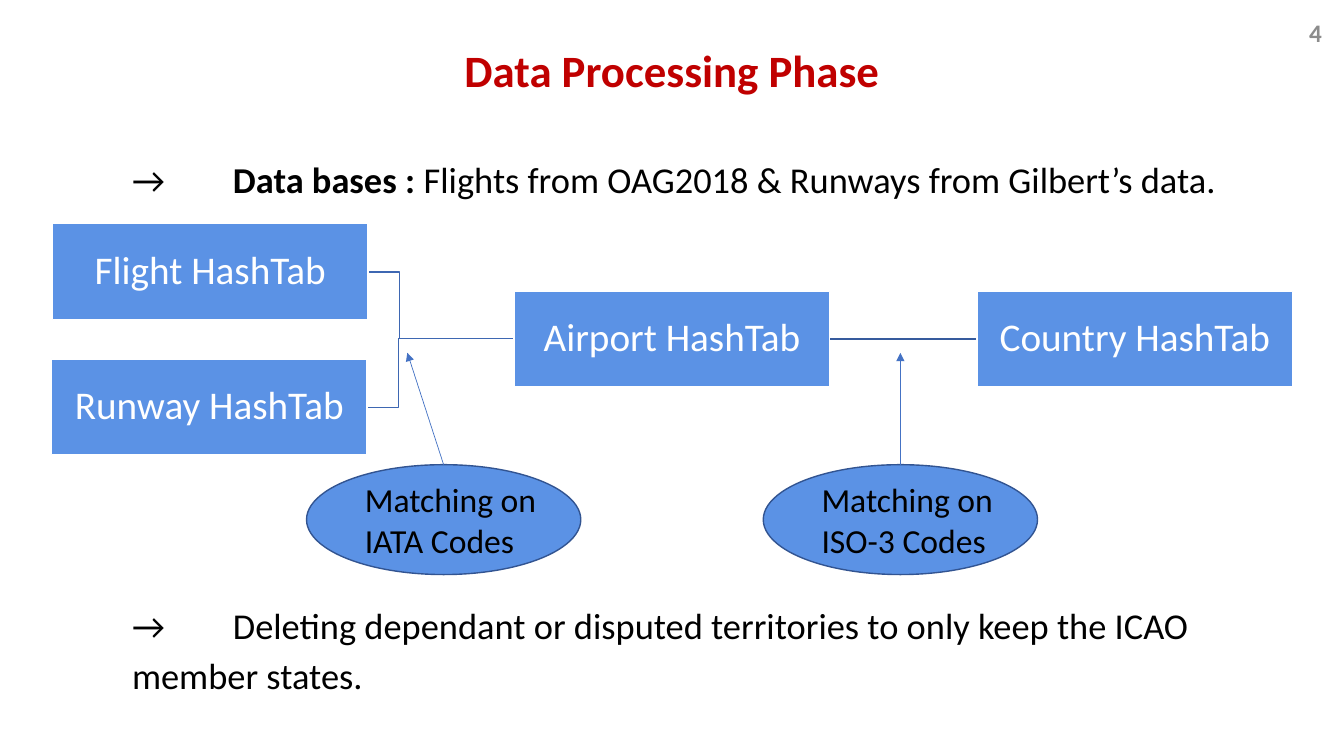
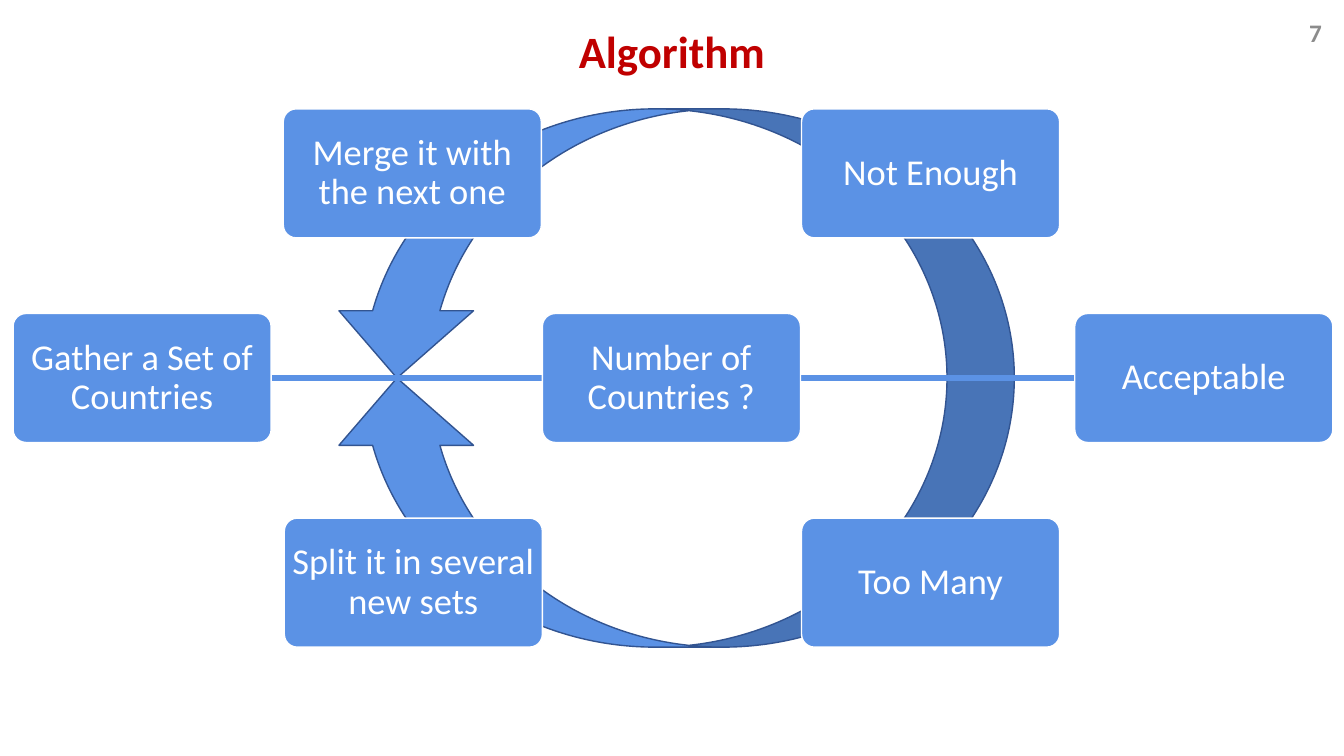
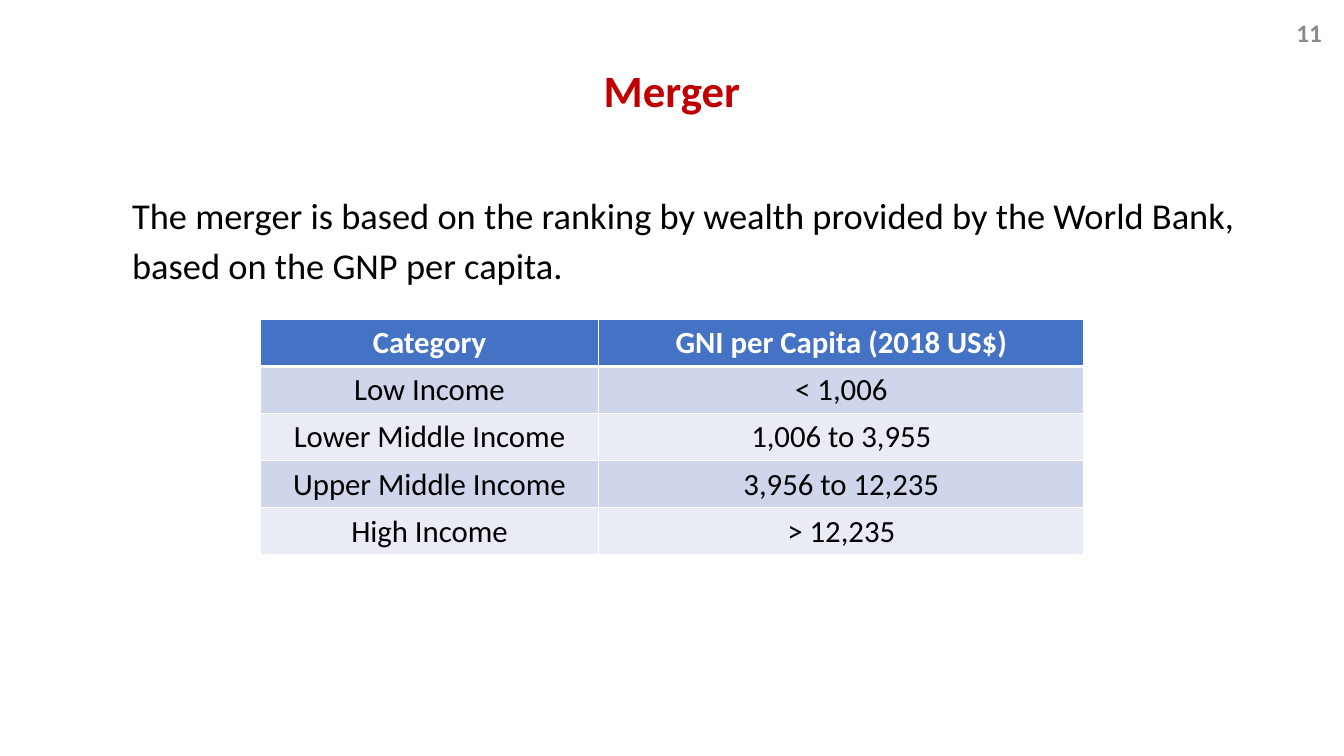
from lxml import etree
from pptx import Presentation
from pptx.dml.color import RGBColor
from pptx.enum.shapes import MSO_CONNECTOR, MSO_SHAPE
from pptx.enum.text import MSO_ANCHOR, MSO_AUTO_SIZE, PP_ALIGN
from pptx.oxml.ns import qn
from pptx.util import Pt

PX = 9144
SLIDE_WIDTH, SLIDE_HEIGHT = 1333, 750
TAB_WIDTH = 100
FONT = "Calibri"

RED = RGBColor(0xC0, 0x00, 0x00)
BLACK = RGBColor(0x00, 0x00, 0x00)
WHITE = RGBColor(0xFF, 0xFF, 0xFF)
GREY = RGBColor(0x8C, 0x8C, 0x8C)
SKY = RGBColor(0x5B, 0x92, 0xE5)
NAVY = RGBColor(0x32, 0x54, 0x91)
ELBOW_BLUE = RGBColor(0x3E, 0x67, 0xB2)
LINK_BLUE = RGBColor(0x36, 0x5B, 0x9D)
ACCENT = RGBColor(0x44, 0x72, 0xC4)
BAND_DARK = RGBColor(0xCF, 0xD5, 0xEA)
BAND_LIGHT = RGBColor(0xE9, 0xEB, 0xF5)

RECTANGLE = MSO_SHAPE.RECTANGLE
ROUNDED = MSO_SHAPE.ROUNDED_RECTANGLE
OVAL = MSO_SHAPE.OVAL
DOWN_ARROW = MSO_SHAPE.CURVED_DOWN_ARROW
UP_ARROW = MSO_SHAPE.CURVED_UP_ARROW
STRAIGHT = MSO_CONNECTOR.STRAIGHT
MIDDLE, TOP = MSO_ANCHOR.MIDDLE, MSO_ANCHOR.TOP
LEFT, CENTER, RIGHT = PP_ALIGN.LEFT, PP_ALIGN.CENTER, PP_ALIGN.RIGHT
NO_AUTOFIT = MSO_AUTO_SIZE.NONE

TITLE_LAYOUT, BODY_LAYOUT = 5, 1
TABLE_BOX = (258, 317, 817, 205)
CATEGORY_WIDTH = 336
INCOME_ROWS = [
    ("Category", "GNI per Capita (2018 US$)"),
    ("Low Income", "< 1,006"),
    ("Lower Middle Income", "1,006 to 3,955"),
    ("Upper Middle Income", "3,956 to 12,235"),
    ("High Income", "> 12,235"),
]


def emu(*lengths):
    """Turn px lengths into EMU."""
    return [round(length * PX) for length in lengths]


def format_text(frame, size, color, bold=False, align=LEFT, spacing=1.0):
    """Give every paragraph and run of a frame the same look."""
    for paragraph in frame.paragraphs:
        paragraph.alignment = align
        paragraph.line_spacing = spacing
        paragraph.space_before = Pt(0)
        for run in paragraph.runs:
            run.font.name = FONT
            run.font.size = Pt(size)
            run.font.bold = bold
            run.font.color.rgb = color


def set_margins(frame, left, top, right, bottom):
    """Set the four insets of a text frame."""
    frame.margin_left, frame.margin_top, frame.margin_right, frame.margin_bottom = emu(
        left, top, right, bottom)


def set_default_tabs(deck):
    """Use one tab width in the deck defaults and the master."""
    for root in (deck.element, deck.slide_master.element):
        for level in root.iter():
            if level.get("defTabSz"):
                level.set("defTabSz", str(TAB_WIDTH * PX))


def place(placeholder, box):
    """Move a placeholder to a box and fix its size."""
    placeholder.left, placeholder.top, placeholder.width, placeholder.height = emu(*box)
    placeholder.text_frame.word_wrap = True
    placeholder.text_frame.auto_size = NO_AUTOFIT


def add_titled_slide(deck, layout, title, title_box, number):
    """Add a slide with its red title and page number."""
    slide = deck.slides.add_slide(deck.slide_layouts[layout])
    place(slide.shapes.title, title_box)
    heading = slide.shapes.title.text_frame
    heading.text = title
    heading.vertical_anchor = MIDDLE
    format_text(heading, 32, RED, True, CENTER, 0.9)
    page = slide.shapes.add_textbox(*emu(1021, 12, 300, 40)).text_frame
    page.word_wrap = True
    page.text = number
    page.vertical_anchor = MIDDLE
    format_text(page, 18, GREY, True, RIGHT)
    return slide


def fill_body(slide, box, statements):
    """Write the body statements, each a list of text runs."""
    body = slide.placeholders[1]
    place(body, box)
    frame = body.text_frame
    set_margins(frame, 39, 5, 10, 5)
    frame.vertical_anchor = TOP
    for index, parts in enumerate(statements):
        paragraph = frame.add_paragraph() if index else frame.paragraphs[0]
        properties = paragraph._p.get_or_add_pPr()
        properties.set("marL", "0")
        properties.set("indent", "0")
        properties.set("defTabSz", str(TAB_WIDTH * PX))
        etree.SubElement(properties, qn("a:buNone"))
        for part in parts:
            paragraph.add_run().text = part
        paragraph.space_after = Pt(2)
    format_text(frame, 26, BLACK, spacing=1.14)
    return frame


def add_figure(slide, kind, box, outline):
    """Add a sky-blue preset shape with a thin outline."""
    figure = slide.shapes.add_shape(kind, *emu(*box))
    figure.shadow.inherit = False
    figure.fill.solid()
    figure.fill.fore_color.rgb = SKY
    figure.line.color.rgb = outline
    figure.line.width = Pt(1)
    return figure


def add_step(slide, kind, box, label, size):
    """Add a flow box with a centred white label."""
    step = add_figure(slide, kind, box, WHITE)
    if kind == ROUNDED:
        step.adjustments[0] = 0.1
    frame = step.text_frame
    frame.word_wrap = True
    set_margins(frame, 2, 2, 2, 2)
    frame.vertical_anchor = MIDDLE
    frame.text = label
    format_text(frame, size, WHITE, align=CENTER, spacing=0.9)


def add_link(slide, start, end, color, width, arrow=False):
    """Draw a straight link, with an arrowhead at its end if asked."""
    link = slide.shapes.add_connector(STRAIGHT, *emu(*start, *end))
    link.line.color.rgb = color
    link.line.width = Pt(width)
    if arrow:
        etree.SubElement(link.line._get_or_add_ln(), qn("a:tailEnd"), type="triangle")
    etree.SubElement(link._element.spPr, qn("a:effectLst"))


def add_elbow(slide, points):
    """Draw an open bent line through the points."""
    builder = slide.shapes.build_freeform(*points[0], scale=PX)
    builder.add_line_segments(points[1:], close=False)
    elbow = builder.convert_to_shape()
    elbow.shadow.inherit = False
    elbow.fill.background()
    elbow.line.color.rgb = ELBOW_BLUE
    elbow.line.width = Pt(1)


def add_matching_note(slide, box, label, target):
    """Add an oval note whose arrow points at the target."""
    left, top, width, _ = box
    note = add_figure(slide, OVAL, box, NAVY)
    frame = note.text_frame
    frame.word_wrap = True
    set_margins(frame, 18, 0, 0, 0)
    frame.vertical_anchor = MIDDLE
    frame.text = label
    format_text(frame, 24, BLACK)
    add_link(slide, (left + width / 2, top), target, ACCENT, 0.5, True)


def add_hash_tables(slide, left, top):
    """Draw the flow from flight and runway tables to countries."""
    width, height = 313, 95
    flight_left, airport_left, country_left = left + 1, left + 459, left + 918
    airport_top, runway_top = top + 67, top + 134
    axis = airport_top + height / 2
    for source_left, source_top in ((left, runway_top), (flight_left, top)):
        source_right, source_axis = source_left + width, source_top + height / 2
        bend = source_right + 31
        add_elbow(slide, [(airport_left, axis), (bend, axis),
                          (bend, source_axis), (source_right, source_axis)])
    add_link(slide, (airport_left + width, axis), (country_left, axis), LINK_BLUE, 1)
    for label, x, y in (
        ("Country HashTab", country_left, airport_top),
        ("Airport HashTab", airport_left, airport_top),
        ("Flight HashTab", flight_left, top),
        ("Runway HashTab", left, runway_top),
    ):
        add_step(slide, RECTANGLE, (x, y, width, height), label, 28)
    for codes, x, target_x in (("IATA", 253, 353), ("ISO-3", 706, 842)):
        add_matching_note(slide, (left + x, top + 239, 272, 109),
                          f"Matching on\n{codes} Codes", (left + target_x, top + 128))


def add_set_loop(slide, left, top):
    """Draw the loop that merges or splits sets of countries."""
    width, height = 256, 128
    middle, low = top + 203, top + 406
    axis = middle + height / 2
    gather, merge, split, decide, branch, accept = (
        left + offset for offset in (0, 268, 269, 525, 782, 1053))
    for kind, arrow_top in ((DOWN_ARROW, axis), (UP_ARROW, top)):
        add_figure(slide, kind, (left + 314, arrow_top, 679, 267), NAVY).rotation = 180
    for source, target in ((gather, decide), (decide, accept)):
        add_link(slide, (source + width, axis), (target, axis), SKY, 5)
    for label, x, y in (
        ("Gather a Set of Countries", gather, middle),
        ("Number of Countries ?", decide, middle),
        ("Not Enough", branch, top),
        ("Merge it with the next one", merge, top),
        ("Acceptable", accept, middle),
        ("Too Many", branch, low),
        ("Split it in several new sets", split, low),
    ):
        add_step(slide, ROUNDED, (x, y, width, height), label, 26)


def add_border(cell, side, width):
    """Add a white border to one side of a table cell."""
    border = etree.SubElement(cell._tc.get_or_add_tcPr(), qn(f"a:{side}"),
                              w=str(Pt(width)))
    paint = etree.SubElement(border, qn("a:solidFill"))
    etree.SubElement(paint, qn("a:srgbClr"), val=str(WHITE))


def add_income_table(slide, box):
    """Add the banded table of income categories."""
    table = slide.shapes.add_table(len(INCOME_ROWS), 2, *emu(*box)).table
    table.columns[0].width, table.columns[1].width = emu(
        CATEGORY_WIDTH, box[2] - CATEGORY_WIDTH)
    for row, values in enumerate(INCOME_ROWS):
        header = row == 0
        band = ACCENT if header else BAND_DARK if row % 2 else BAND_LIGHT
        for column, value in enumerate(values):
            cell = table.cell(row, column)
            for side in ("lnL", "lnR", "lnT", "lnB"):
                heavy = (row, side) in ((0, "lnB"), (1, "lnT"))
                add_border(cell, side, 3 if heavy else 1)
            cell.fill.solid()
            cell.fill.fore_color.rgb = band
            cell.text_frame.text = value
            format_text(cell.text_frame, 22, WHITE if header else BLACK, header, CENTER)


def build_processing(deck):
    """Build the data processing slide."""
    slide = add_titled_slide(deck, BODY_LAYOUT, "Data Processing Phase",
                             (0, 0, SLIDE_WIDTH, 145), "4")
    body = fill_body(slide, (92, 145, 1150, 560), [
        ["→\t", "Data bases : ", "Flights from OAG2018 & Runways from Gilbert’s data."],
        ["→\tDeleting dependant or disputed territories to only keep the ICAO member states."],
    ])
    sources, territories = body.paragraphs
    sources.runs[1].font.bold = True
    territories.space_before = Pt(281)
    add_hash_tables(slide, 51, 222)


def build_algorithm(deck):
    """Build the algorithm slide."""
    slide = add_titled_slide(deck, TITLE_LAYOUT, "Algorithm",
                             (0, 0, SLIDE_WIDTH, 108), "7")
    add_set_loop(slide, 13, 108)


def build_merger(deck):
    """Build the merger slide."""
    slide = add_titled_slide(deck, BODY_LAYOUT, "Merger",
                             (0, 20, SLIDE_WIDTH, 145), "11")
    fill_body(slide, (92, 181, 1150, 476), [
        ["The merger is based on the ranking by wealth provided by the World Bank, "
         "based on the GNP per capita."],
    ])
    add_income_table(slide, TABLE_BOX)


def main():
    """Build and save the deck."""
    deck = Presentation()
    deck.slide_width, deck.slide_height = emu(SLIDE_WIDTH, SLIDE_HEIGHT)
    set_default_tabs(deck)
    build_processing(deck)
    build_algorithm(deck)
    build_merger(deck)
    deck.save("out.pptx")


if __name__ == "__main__":
    main()
